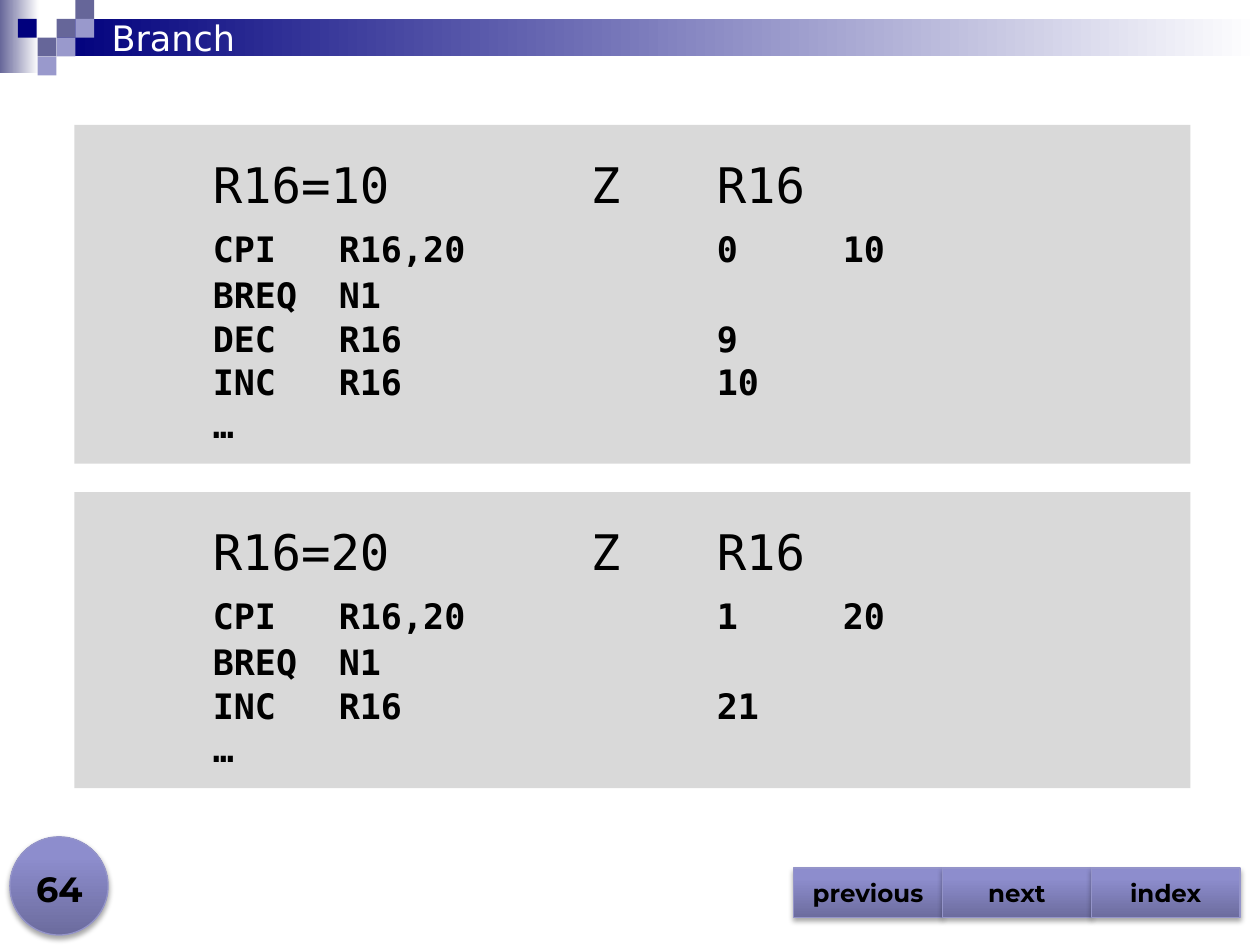
"""Build the Branch slide with two register traces and navigation buttons."""
from dataclasses import dataclass

import lxml.etree
import pptx
import pptx.dml.color
import pptx.enum.shapes
import pptx.enum.text
import pptx.oxml
import pptx.oxml.ns
import pptx.util

Cm = pptx.util.Cm
Pt = pptx.util.Pt
Kind = pptx.enum.shapes.MSO_SHAPE
Align = pptx.enum.text.PP_ALIGN
Anchor = pptx.enum.text.MSO_ANCHOR
qn = pptx.oxml.ns.qn

HUES = {
    "navy": "00007D", "slate": "666699", "lilac": "9999CC", "white": "FFFFFF",
    "black": "000000", "panel": "D9D9D9", "edge": "9494C9",
    "low": "6C6C9E", "mid": "8D8DCD", "high": "8C8CCF",
}
FACES = {"title": "DejaVu Sans", "code": "DejaVu Sans Mono", "nav": "Montserrat"}
GLOSS = [(0, "low"), (80, "mid"), (100, "high")]
STEP = 0.38


@dataclass
class Box:
    left: float
    top: float
    width: float
    height: float

    def place(self) -> tuple:
        return Cm(self.left), Cm(self.top), Cm(self.width), Cm(self.height)


@dataclass
class Tile:
    left: float
    row: int
    hue: str


@dataclass
class Trace:
    box: Box
    head: str
    lines: list[str]


@dataclass
class Label:
    text: str
    face: str
    size: int
    hue: str = "black"
    bold: bool = False


TILES = [
    Tile(1.14, 1, "slate"), Tile(1.52, 0, "slate"), Tile(1.52, 1, "lilac"),
    Tile(0.76, 2, "slate"), Tile(0.36, 1, "navy"), Tile(1.14, 2, "lilac"),
    Tile(0.76, 3, "lilac"),
]
TRACES = [
    Trace(Box(1.5, 2.52, 22.5, 6.83), "\tR16=10\t\tZ\tR16", [
        "\tCPI \tR16,20\t\t0\t10", "\tBREQ \tN1", "\tDEC\tR16\t\t\t9",
        "\tINC\tR16\t\t\t10", "\t…"]),
    Trace(Box(1.5, 9.92, 22.5, 5.97), "\tR16=20\t\tZ\tR16", [
        "\tCPI \tR16,20\t\t1\t20", "\tBREQ \tN1", "\tINC\tR16\t\t\t21", "\t…"]),
]


def color(hue: str) -> pptx.dml.color.RGBColor:
    return pptx.dml.color.RGBColor.from_string(HUES[hue])


def draw(slide, kind, box: Box, hue: str | None = None):
    shape = slide.shapes.add_shape(kind, *box.place())
    shape.shadow.inherit = False
    shape.line.fill.background()
    if hue:
        shape.fill.solid()
        shape.fill.fore_color.rgb = color(hue)
    return shape


def blend(shape, stops: list[tuple[int, str]], angle: int) -> None:
    shape.fill.gradient()
    grad = shape._element.spPr.find(qn("a:gradFill"))
    group = grad.find(qn("a:gsLst"))
    for old in list(group):
        group.remove(old)
    for pos, hue in stops:
        stop = lxml.etree.SubElement(group, qn("a:gs"), pos=str(pos * 1000))
        lxml.etree.SubElement(stop, qn("a:srgbClr"), val=HUES[hue])
    grad.find(qn("a:lin")).set("ang", str(angle * 60000))


def gloss(slide, kind, box: Box):
    shape = draw(slide, kind, box)
    blend(shape, GLOSS, 270)
    shape.line.color.rgb = color("edge")
    shape.line.width = Pt(0.75)
    effect = shape._element.spPr.find(qn("a:effectLst"))
    shade = lxml.etree.SubElement(
        effect, qn("a:outerShdw"), blurRad=str(Pt(3.1)), dist=str(Pt(1.8)),
        dir="5400000", rotWithShape="0")
    tint = lxml.etree.SubElement(shade, qn("a:srgbClr"), val=HUES["black"])
    lxml.etree.SubElement(tint, qn("a:alpha"), val="35000")
    return shape


def write(para, label: Label, align=Align.LEFT) -> None:
    para.alignment = align
    run = para.add_run()
    run.text = label.text
    run.font.name = FACES[label.face]
    run.font.size = Pt(label.size)
    run.font.bold = label.bold
    run.font.color.rgb = color(label.hue)


def note(slide, box: Box, label: Label, anchor, align=Align.LEFT) -> None:
    frame = slide.shapes.add_textbox(*box.place()).text_frame
    frame.word_wrap = True
    frame.vertical_anchor = anchor
    write(frame.paragraphs[0], label, align)


def tabs(para) -> None:
    stops = lxml.etree.SubElement(para._p.get_or_add_pPr(), qn("a:tabLst"))
    for count in range(1, 8):
        lxml.etree.SubElement(stops, qn("a:tab"), pos=str(Cm(2.54 * count)), algn="l")


def panel(slide, trace: Trace) -> None:
    frame = draw(slide, Kind.RECTANGLE, trace.box, "panel").text_frame
    frame.word_wrap = True
    frame.vertical_anchor = Anchor.TOP
    frame.margin_top, frame.margin_bottom = Cm(0.6), Cm(0.5)
    head = frame.paragraphs[0]
    tabs(head)
    write(head, Label(trace.head, "code", 28))
    gaps = [8, 2.4] + [0.7] * len(trace.lines)
    for line, gap in zip(trace.lines, gaps):
        para = frame.add_paragraph()
        tabs(para)
        para.space_before = Pt(gap)
        write(para, Label(line, "code", 20, bold=True))


def banner(slide) -> None:
    for box, hue in ((Box(0, 0, 0.78, 1.48), "slate"),
                     (Box(1.14, STEP, 24.26, 2 * STEP), "navy")):
        blend(draw(slide, Kind.RECTANGLE, box), [(0, hue), (100, "white")], 0)
    for tile in TILES:
        box = Box(tile.left, tile.row * STEP, STEP, STEP)
        draw(slide, Kind.RECTANGLE, box, tile.hue)
    note(slide, Box(2, 0.2, 21.6, 1.12),
         Label("Branch", "title", 20, "white"), Anchor.MIDDLE)


def footer(slide) -> None:
    for spot, text in enumerate(("previous", "next", "index")):
        shape = gloss(slide, Kind.ACTION_BUTTON_CUSTOM, Box(16 + 3 * spot, 17.5, 3, 1))
        frame = shape.text_frame
        frame.vertical_anchor = Anchor.MIDDLE
        write(frame.paragraphs[0], Label(text, "nav", 14, bold=True), Align.CENTER)
    gloss(slide, Kind.OVAL, Box(0.2, 16.87, 1.98, 1.98))
    note(slide, Box(0, 17.2, 2.39, 1.27),
         Label("64", "nav", 20, bold=True), Anchor.BOTTOM, Align.CENTER)


def main() -> None:
    deck = pptx.Presentation()
    deck.slide_width, deck.slide_height = Cm(25.4), Cm(19.05)
    slide = deck.slides.add_slide(deck.slide_layouts[6])
    banner(slide)
    for trace in TRACES:
        panel(slide, trace)
    footer(slide)
    deck.save("out.pptx")


if __name__ == "__main__":
    main()
